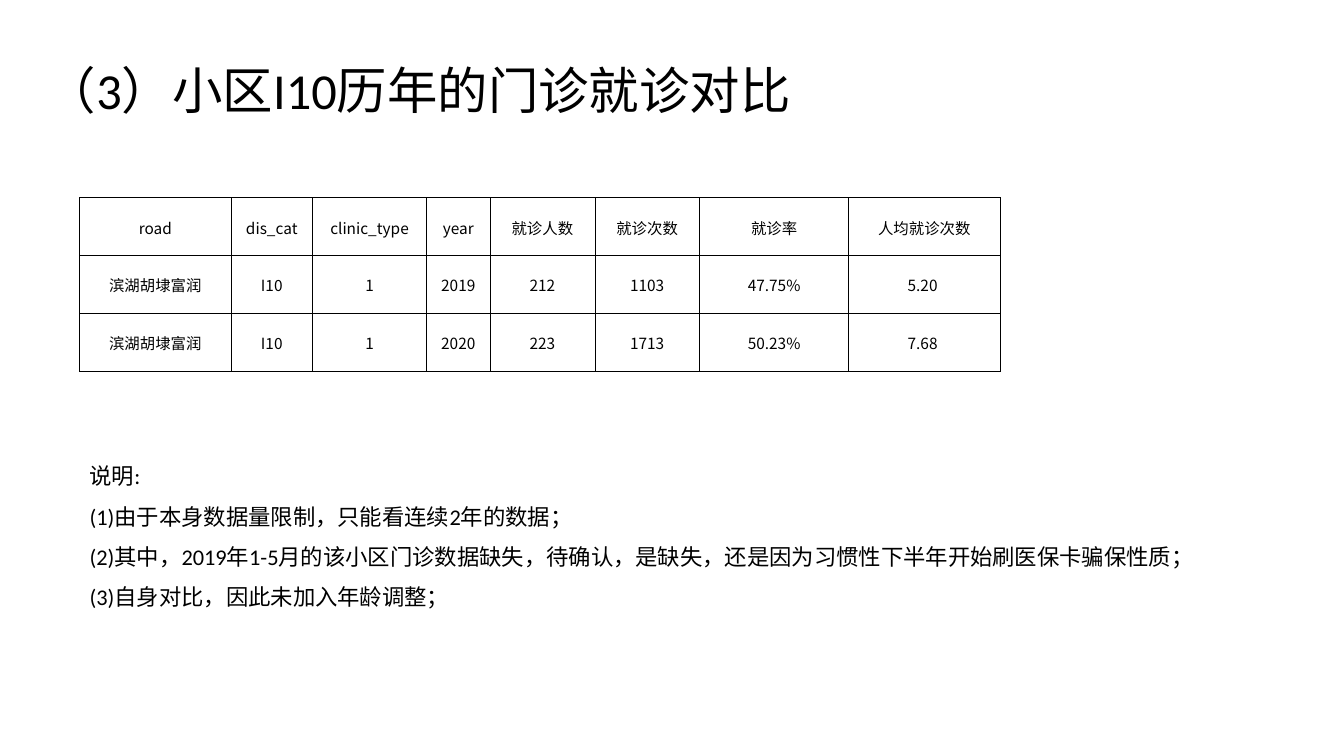
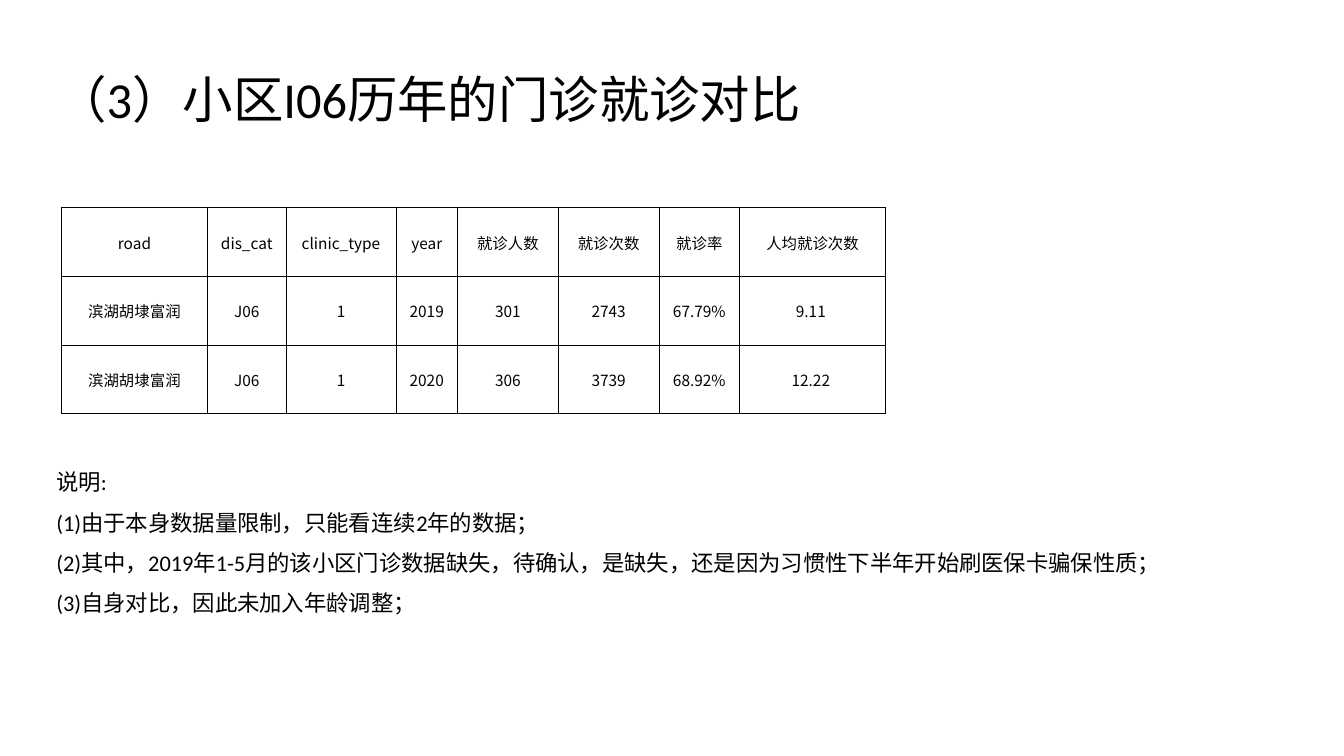
from lxml.etree import SubElement
from pptx import Presentation
from pptx.dml.color import RGBColor
from pptx.enum.text import MSO_ANCHOR, PP_ALIGN
from pptx.oxml.ns import qn
from pptx.util import Cm, Pt

COLORS = {"bg": "FFFFFF", "text": "000000", "border": "000000"}
LATIN, CJK = "Calibri", "Noto Sans CJK SC"
HEADER = ["road", "dis_cat", "clinic_type", "year",
          "就诊人数", "就诊次数", "就诊率", "人均就诊次数"]
ROAD = "滨湖胡埭富润"
NOTES = [
    "说明:",
    "(1)由于本身数据量限制，只能看连续2年的数据；",
    "(2)其中，2019年1-5月的该小区门诊数据缺失，待确认，是缺失，"
    "还是因为习惯性下半年开始刷医保卡骗保性质；",
    "(3)自身对比，因此未加入年龄调整；",
]
SLIDES = [
    {
        "title": "（3）小区I10历年的门诊就诊对比",
        "title_at": (0.91, 0.81),
        "notes_at": (2.01, 10.72),
        "table_at": (2.01, 4.98),
        "cols": [3.81, 2.06, 2.87, 1.6, 2.64, 2.64, 3.76, 3.81],
        "row_h": 1.46,
        "rows": [[ROAD, "I10", "1", "2019", "212", "1103", "47.75%", "5.20 "],
                 [ROAD, "I10", "1", "2020", "223", "1713", "50.23%", "7.68 "]],
    },
    {
        "title": "（3）小区I06历年的门诊就诊对比",
        "title_at": (1.17, 1.02),
        "notes_at": (1.17, 10.87),
        "table_at": (1.55, 5.23),
        "cols": [3.68, 1.98, 2.77, 1.55, 2.54, 2.54, 2.03, 3.68],
        "row_h": 1.73,
        "rows": [[ROAD, "J06", "1", "2019", "301", "2743", "67.79%", "9.11 "],
                 [ROAD, "J06", "1", "2020", "306", "3739", "68.92%", "12.22 "]],
    },
]


def add_run(p, text, size, font):
    """Add one run with its Latin and East Asian fonts."""
    r = p.add_run()
    r.text = text
    r.font.size = Pt(size)
    r.font.name = font
    r.font.color.rgb = RGBColor.from_string(COLORS["text"])
    SubElement(r.font._element, qn("a:ea"), typeface=CJK)


def add_text(s, at, size, lines, font_size, spacing):
    """Place a vertically centred text box with one paragraph per line."""
    tf = s.shapes.add_textbox(*map(Cm, at + size)).text_frame
    tf.word_wrap = True
    tf.vertical_anchor = MSO_ANCHOR.MIDDLE
    for i, line in enumerate(lines):
        p = tf.add_paragraph() if i else tf.paragraphs[0]
        p.line_spacing = spacing
        add_run(p, line, font_size, LATIN)


def set_borders(cell):
    """Draw a thin line on all four sides of a cell."""
    tcPr = cell._tc.get_or_add_tcPr()
    for side in ("lnL", "lnR", "lnT", "lnB"):
        ln = SubElement(tcPr, qn(f"a:{side}"), w=str(Pt(0.5)))
        fill = SubElement(ln, qn("a:solidFill"))
        SubElement(fill, qn("a:srgbClr"), val=COLORS["border"])


def fill_cell(cell, text):
    """Style one cell and write its centred text."""
    cell.margin_left = cell.margin_right = cell.margin_top = Cm(0.03)
    cell.margin_bottom = Cm(0)
    cell.vertical_anchor = MSO_ANCHOR.MIDDLE
    set_borders(cell)
    cell.fill.background()
    p = cell.text_frame.paragraphs[0]
    p.alignment = PP_ALIGN.CENTER
    add_run(p, text, 11, CJK)


def add_visits_table(s, at, cols, row_h, rows):
    """Place the table of visits with its header row."""
    rows = [HEADER] + rows
    size = (sum(cols), row_h * len(rows))
    table = s.shapes.add_table(len(rows), len(cols), *map(Cm, at + size)).table
    table.first_row = table.horz_banding = False
    for col, width in zip(table.columns, cols):
        col.width = Cm(width)
    for row, texts in zip(table.rows, rows):
        row.height = Cm(row_h)
        for cell, text in zip(row.cells, texts):
            fill_cell(cell, text)


def add_comparison_slide(prs, data):
    """Build one slide with its title, notes and table."""
    s = prs.slides.add_slide(prs.slide_layouts[6])
    s.background.fill.solid()
    s.background.fill.fore_color.rgb = RGBColor.from_string(COLORS["bg"])
    add_text(s, data["title_at"], (30.35, 3.1), [data["title"]], 36, 0.9)
    add_text(s, data["notes_at"], (31.8, 5.26), NOTES, 16, 1.5)
    add_visits_table(s, data["table_at"], data["cols"], data["row_h"], data["rows"])


def main():
    """Build and save the presentation."""
    prs = Presentation()
    prs.slide_width, prs.slide_height = Cm(33.87), Cm(19.05)
    for data in SLIDES:
        add_comparison_slide(prs, data)
    prs.save("out.pptx")


if __name__ == "__main__":
    main()
